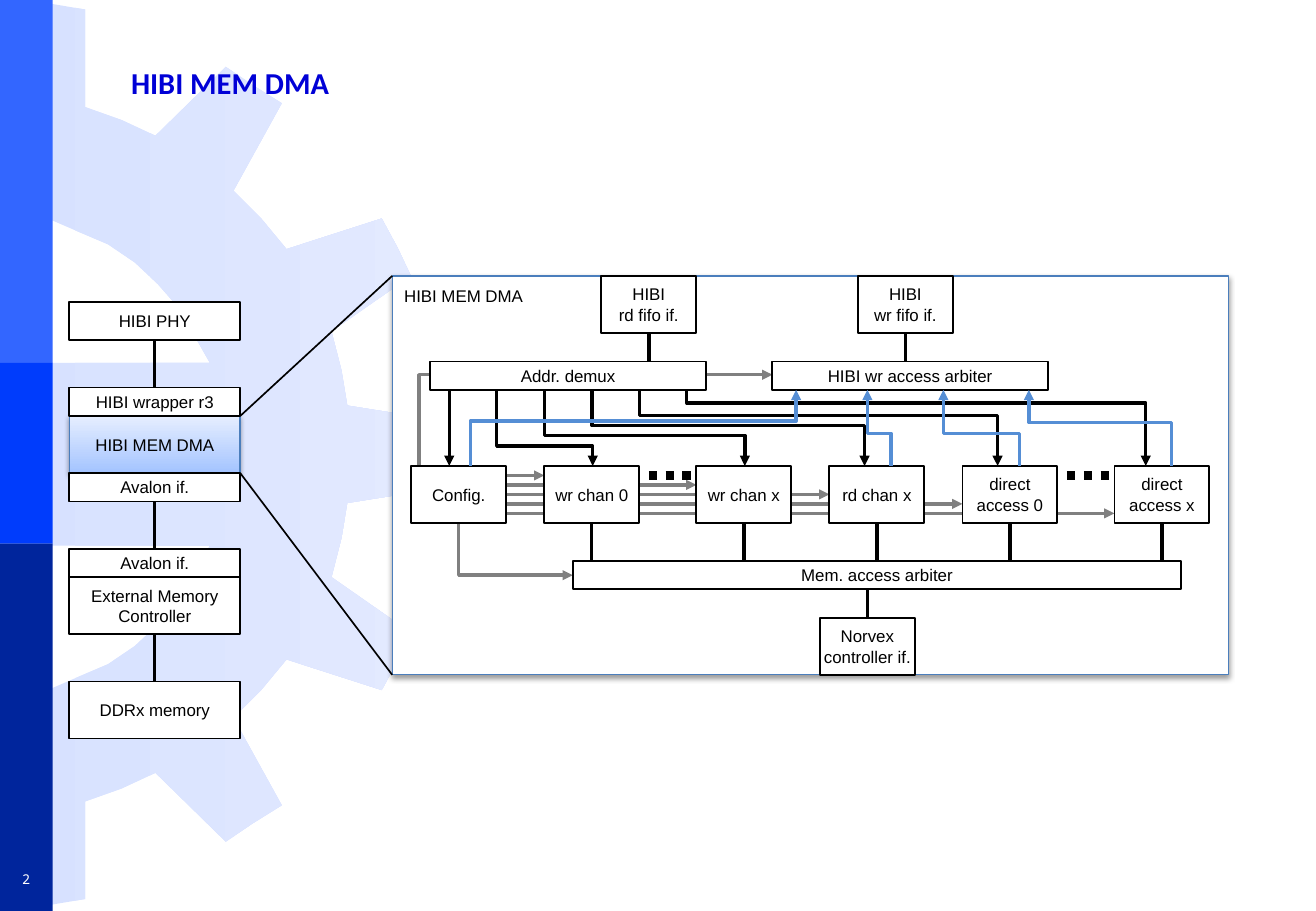
from dataclasses import dataclass
from lxml.etree import SubElement
from pptx import Presentation
from pptx.dml.color import RGBColor
from pptx.enum.shapes import MSO_CONNECTOR, MSO_SHAPE
from pptx.enum.text import MSO_ANCHOR, PP_ALIGN
from pptx.oxml.ns import qn
from pptx.util import Cm, Pt


@dataclass(frozen=True)
class Theme:
    black: str = "000000"
    white: str = "FFFFFF"
    gray: str = "808080"
    blue: str = "558ED5"
    edge: str = "4B7EBC"
    title: str = "0000D6"
    bars: tuple = ("3366FF", "003CFC", "00259C")
    gear: tuple = ("D7E1FF", "E3EAFF")
    glow: tuple = ("A4C4FF", "E6EEFF")
    head: tuple = ("Calibri", 18)
    body: tuple = ("Arial", 10)
    page: tuple = ("Noto Sans Mono", 8)


@dataclass(frozen=True)
class Grid:
    """A box split into equal square cells."""
    left: int
    top: int
    step: float

    def at(self, x, y):
        return round(self.left + x * self.step), round(self.top + y * self.step)

    def size(self, w, h):
        return round(w * self.step), round(h * self.step)


T = Theme()
rgb = RGBColor.from_string


def put(obj, vals):
    for key, val in vals.items():
        setattr(obj, key, val)


def paint(shape, fill, edge=None, width=1, angle=0):
    shape.shadow.inherit = False
    if isinstance(fill, tuple):
        shape.fill.gradient()
        shape.fill.gradient_angle = angle
        for stop, hue in zip(shape.fill.gradient_stops, fill):
            stop.color.rgb = rgb(hue)
    else:
        shape.fill.solid()
        shape.fill.fore_color.rgb = rgb(fill)
    if edge:
        shape.line.color.rgb = rgb(edge)
        shape.line.width = Pt(width)
    else:
        shape.line.fill.background()


def write(shape, text, font=T.body, hue=T.black, bold=False,
          align=PP_ALIGN.CENTER, anchor=MSO_ANCHOR.MIDDLE, pad=(0, 0)):
    frame = shape.text_frame
    side, edge = map(Cm, pad)
    frame.text = text
    put(frame, dict(word_wrap=True, vertical_anchor=anchor, margin_left=side,
                    margin_right=side, margin_top=edge, margin_bottom=edge))
    for para in frame.paragraphs:
        para.alignment = align
        put(para.font, dict(name=font[0], size=Pt(font[1]), bold=bold))
        para.font.color.rgb = rgb(hue)


def shade(shape):
    fx = shape._element.spPr.find(qn("a:effectLst"))
    drop = SubElement(fx, qn("a:outerShdw"), blurRad=str(Pt(3.1)),
                      dist=str(Pt(1.6)), dir="5400000", rotWithShape="0")
    tint = SubElement(drop, qn("a:srgbClr"), val=T.black)
    SubElement(tint, qn("a:alpha"), val="38000")


def block(slide, grid, x, y, w, h, text, fill=T.white, edge=T.black, width=1):
    box = slide.shapes.add_shape(MSO_SHAPE.RECTANGLE, *grid.at(x, y), *grid.size(w, h))
    paint(box, fill, edge, width, angle=90)
    write(box, text)
    return box


def wire(slide, start, end, hue=T.black, width=2, tip=False, dash=None,
         kind=MSO_CONNECTOR.STRAIGHT):
    link = slide.shapes.add_connector(kind, *start, *end)
    link.line.color.rgb = rgb(hue)
    link.line.width = Pt(width)
    line = link.line._get_or_add_ln()
    if dash:
        SubElement(line, qn("a:prstDash"), val=dash)
    if tip:
        SubElement(line, qn("a:tailEnd"), type="triangle")
    SubElement(link._element.spPr, qn("a:effectLst"))
    return link


def bend(slide, start, end, hue=T.black, mid=None):
    """Arrow leaving vertically; mid is the share of the drop before the turn."""
    (x1, y1), (x2, y2) = start, end
    dx, dy = x2 - x1, y2 - y1
    turn = 1 if dx > 0 > dy else -1
    cx, cy, lx, ly = (x1 + x2) / 2, (y1 + y2) / 2, turn * dy / 2, -turn * dx / 2
    link = wire(slide, (round(cx - lx), round(cy - ly)), (round(cx + lx), round(cy + ly)),
                hue, tip=True, kind=MSO_CONNECTOR.ELBOW)
    props = link._element.spPr
    props.find(qn("a:xfrm")).set("rot", str(turn * 5400000 % 21600000))
    geom = props.find(qn("a:prstGeom"))
    if mid is None:
        geom.set("prst", "bentConnector2")
    else:
        SubElement(geom.find(qn("a:avLst")), qn("a:gd"), name="adj1",
                   fmla=f"val {round(mid * 100000)}")


def decor(slide, left, top, height):
    # Upper half of the gear in hundredths of a centimetre, mirrored below
    half = [(940, 912), (932, 881), (726, 848), (714, 775), (693, 693), (859, 577),
            (831, 518), (798, 457), (599, 521), (546, 457), (488, 399), (589, 216),
            (528, 178), (472, 140), (325, 284), (254, 251), (178, 224), (178, 20),
            (107, 8), (36, 0), (36, 447), (107, 460), (165, 485), (226, 511),
            (282, 549), (330, 594), (373, 643), (406, 701), (439, 759), (0, 759)]
    rim = half + [(x, 1900 - y) for x, y in reversed(half)]
    pen = slide.shapes.build_freeform(*rim[0], scale=Cm(0.01))
    pen.add_line_segments(rim[1:], close=True)
    paint(pen.convert_to_shape(left, top), T.gear)
    # Side bars
    stops = [0, Cm(7.59), Cm(11.37), height]
    for y, base, hue in zip(stops, stops[1:], T.bars):
        bar = slide.shapes.add_shape(MSO_SHAPE.RECTANGLE, left, top + y, Cm(1.1), base - y)
        paint(bar, hue)


def label(slide, box, text, **form):
    write(slide.shapes.add_textbox(*box), text, **form)


def stack(slide, grid):
    # Links between the layers
    for y, end in ((4, 9), (21, 26), (35, 40)):
        wire(slide, grid.at(9, y), grid.at(9, end))
    # Layers
    core = block(slide, grid, 0, 12, 18, 6, "HIBI MEM DMA", T.glow, T.edge, 0.75)
    shade(core)
    for y, h, text in ((0, 4, "HIBI PHY"), (9, 3, "HIBI wrapper r3"), (18, 3, "Avalon if."),
                       (26, 3, "Avalon if."), (29, 6, "External Memory Controller"),
                       (40, 6, "DDRx memory")):
        block(slide, grid, 0, y, 18, h, text)


def panel(slide, grid):
    # Frame
    frame = block(slide, grid, 0, 0, 88, 42, "", edge=T.edge, width=0.75)
    write(frame, "HIBI MEM DMA", align=PP_ALIGN.LEFT, anchor=MSO_ANCHOR.TOP, pad=(0.25, 0.2))
    shade(frame)
    units = ((16, "wr chan 0"), (32, "wr chan x"), (46, "rd chan x"),
             (60, "direct\naccess 0"), (76, "direct\naccess x"))
    # Config lines run behind the units
    for row, (x, _) in enumerate(units, 21):
        wire(slide, grid.at(12, row), grid.at(x, row), T.gray, tip=True)
        wire(slide, grid.at(x + 5, 26), grid.at(x + 5, 30))
    for x in (27, 71):
        wire(slide, grid.at(x, 21), grid.at(x + 5, 21), width=5, dash="sysDot")
    bend(slide, grid.at(7, 26), grid.at(19, 31.5), T.gray)
    bend(slide, grid.at(2.8, 20), grid.at(40, 10.4), T.gray)
    # Links of the interfaces
    for x, y in ((27, 6), (54, 6), (50, 33)):
        wire(slide, grid.at(x, y), grid.at(x, y + 3))
    # Units, interfaces and arbiters
    for x, text in ((2, "Config."),) + units:
        block(slide, grid, x, 20, 10, 6, text)
    for x, y, text in ((22, 0, "HIBI\nrd fifo if."), (49, 0, "HIBI\nwr fifo if."),
                       (45, 36, "Norvex\ncontroller if.")):
        block(slide, grid, x, y, 10, 6, text)
    for x, y, w, text in ((4, 9, 29, "Addr. demux"), (40, 9, 29, "HIBI wr access arbiter"),
                          (19, 30, 64, "Mem. access arbiter")):
        block(slide, grid, x, y, w, 3, text)
    # Demux to units
    wire(slide, grid.at(6, 12), grid.at(6, 20), tip=True)
    drops = ((21.1, 0.74), (37.1, 0.6), (49.7, 0.47), (63.7, 0.34), (79.3, 0.17))
    for n, (x, mid) in enumerate(drops):
        bend(slide, grid.at(11 + 5 * n, 12), grid.at(x, 20), mid=mid)
    # Units to write arbiter
    for x, end, mid in ((8.2, 42.5, 0.59), (52.5, 50, 0.43), (66, 58, 0.43), (82, 67, 0.57)):
        bend(slide, grid.at(x, 20), grid.at(end, 12), T.blue, mid)


def main():
    deck = Presentation()
    put(deck, dict(slide_width=Cm(27.51), slide_height=Cm(19.05)))
    slide = deck.slides.add_slide(deck.slide_layouts[6])
    decor(slide, 0, 0, deck.slide_height)
    label(slide, (Cm(2.49), Cm(0.53), Cm(23.85), Cm(2.39)), "HIBI MEM DMA", font=T.head,
          hue=T.title, bold=True, align=PP_ALIGN.LEFT, pad=(0.25, 0.13))
    label(slide, (0, Cm(18.06), Cm(1.1), Cm(0.66)), "2", font=T.page, hue=T.white)
    left = Grid(Cm(1.45), Cm(6.32), Cm(3.57) / 18)
    right = Grid(Cm(8.2), Cm(5.77), Cm(17.48) / 88)
    stack(slide, left)
    panel(slide, right)
    # Zoom lines from the core layer to the panel
    for y, end in ((12, 0), (18, 42)):
        wire(slide, left.at(18, y), right.at(0, end), width=1)
    deck.save("out.pptx")


main()
